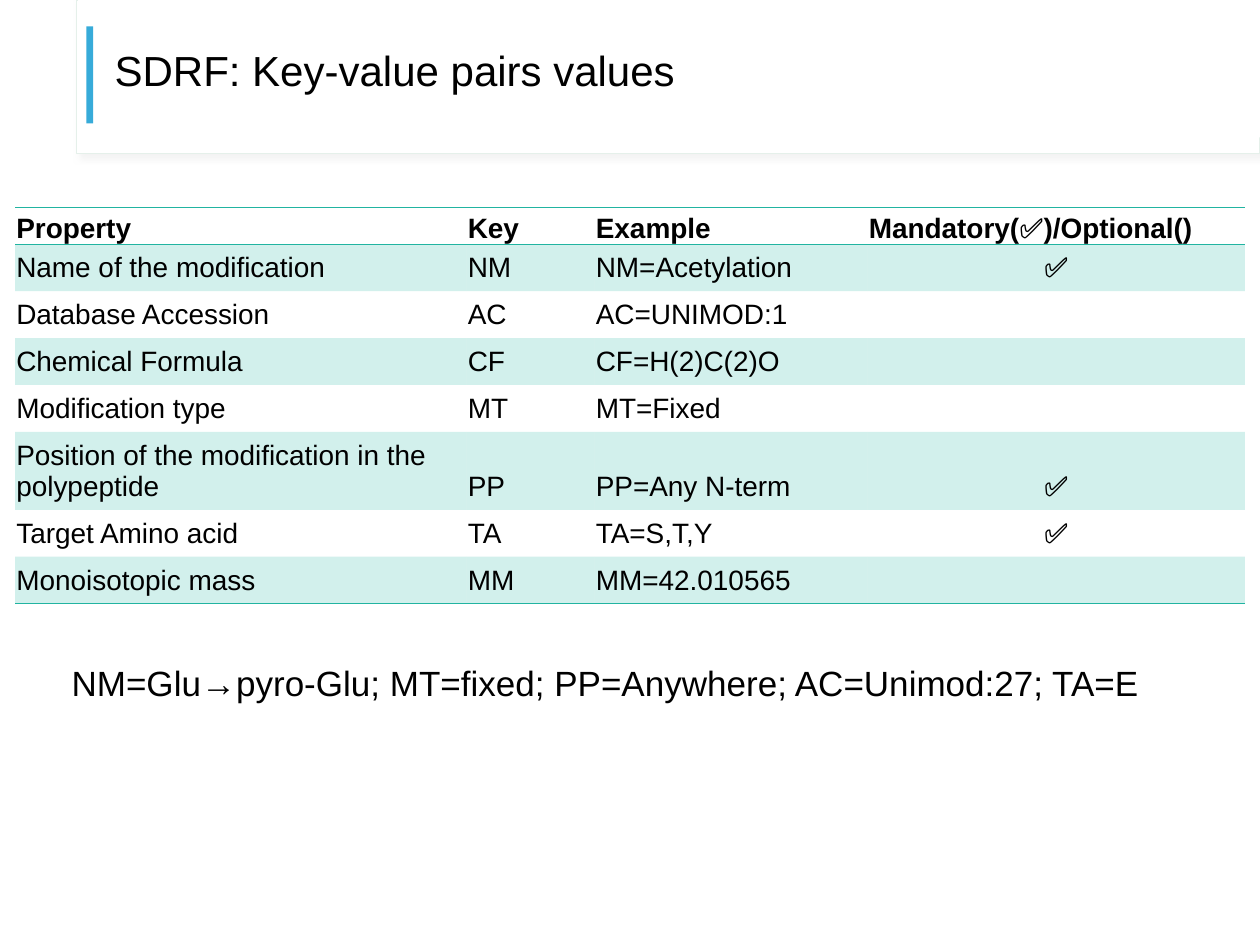
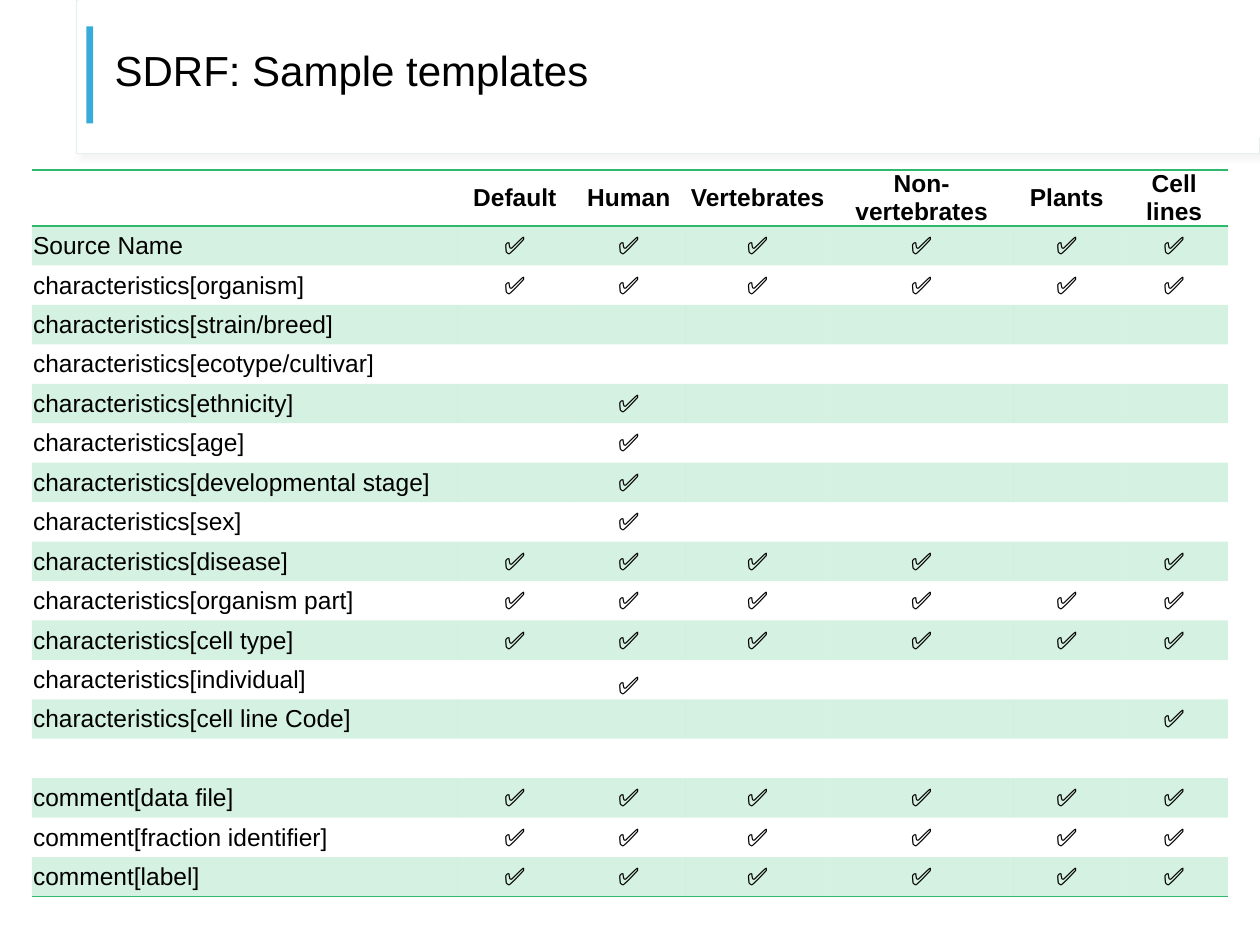
from lxml import etree
from pptx import Presentation
from pptx.dml.color import RGBColor
from pptx.enum import shapes, text
from pptx.oxml import parse_xml
from pptx.oxml.ns import nsdecls, qn
from pptx.util import Pt

FONT = "Arial"
BLACK, WHITE = "000000", "FFFFFF"
PANEL_LINE, ACCENT = "E5F0EA", "37ABD9"
TEAL, GREEN = "21B4A1", "2FB96D"
CHECK = "✅"
NO_STYLE = "{2D5ABB26-0587-4C30-8999-92F81FD0307C}"


def color(hex_string):
    return RGBColor.from_string(hex_string)


def style_paragraph(paragraph, size, bold=False, align=text.PP_ALIGN.LEFT):
    paragraph.alignment = align
    paragraph.font.name = FONT
    paragraph.font.size = Pt(size)
    paragraph.font.bold = bold
    paragraph.font.color.rgb = color(BLACK)


# Content of the two tables
modification_rows = [
    ["Property", "Key", "Example", f"Mandatory({CHECK})/Optional()"],
    ["Name of the modification", "NM", "NM=Acetylation", CHECK],
    ["Database Accession", "AC", "AC=UNIMOD:1", ""],
    ["Chemical Formula", "CF", "CF=H(2)C(2)O", ""],
    ["Modification type", "MT", "MT=Fixed", ""],
    ["Position of the modification in the polypeptide", "PP", "PP=Any N-term", CHECK],
    ["Target Amino acid", "TA", "TA=S,T,Y", CHECK],
    ["Monoisotopic mass", "MM", "MM=42.010565", ""],
]

# Each letter marks a template that requires the property
templates = {"D": "Default", "H": "Human", "V": "Vertebrates",
             "N": "Non-vertebrates", "P": "Plants", "C": "Cell lines"}
required_by = [
    ("Source Name", "DHVNPC"),
    ("characteristics[organism]", "DHVNPC"),
    ("characteristics[strain/breed]", ""),
    ("characteristics[ecotype/cultivar]", ""),
    ("characteristics[ethnicity]", "H"),
    ("characteristics[age]", "H"),
    ("characteristics[developmental stage]", "H"),
    ("characteristics[sex]", "H"),
    ("characteristics[disease]", "DHVNC"),
    ("characteristics[organism part]", "DHVNPC"),
    ("characteristics[cell type]", "DHVNPC"),
    ("characteristics[individual]", "H"),
    ("characteristics[cell line Code]", "C"),
    ("", ""),
    ("comment[data file]", "DHVNPC"),
    ("comment[fraction identifier]", "DHVNPC"),
    ("comment[label]", "DHVNPC"),
]
template_rows = [["", *templates.values()]]
for name, letters in required_by:
    template_rows.append([name] + [CHECK if key in letters else "" for key in templates])

pages = [
    dict(title="SDRF: Key-value pairs values", rows=modification_rows, tint=TEAL,
         left=8.64, top=118.6, columns=[258, 73.2, 156, 215.6],
         heights=[21, 26.8, 26.8, 26.8, 26.8, 44.6, 26.8, 26.8],
         size=16, padding=4.2, header_anchor=text.MSO_ANCHOR.BOTTOM,
         header_align=text.PP_ALIGN.LEFT),
    dict(title="SDRF: Sample templates", rows=template_rows, tint=GREEN,
         left=18.2, top=97.2, columns=[243, 66, 64.3, 83, 104.4, 61.4, 61.4],
         heights=[32] + [22.54] * len(required_by),
         size=14, padding=3.2, header_anchor=text.MSO_ANCHOR.MIDDLE,
         header_align=text.PP_ALIGN.CENTER),
]

presentation = Presentation()
presentation.slide_width, presentation.slide_height = Pt(720), Pt(540)
layout = presentation.slide_layouts[5]

# Shared layout: title position only, no footer fields
for placeholder in list(layout.placeholders):
    if placeholder.placeholder_format.type == shapes.PP_PLACEHOLDER.TITLE:
        placeholder.left, placeholder.top = Pt(58.3), Pt(13.7)
        placeholder.width, placeholder.height = Pt(402.5), Pt(55.4)
    else:
        placeholder.element.getparent().remove(placeholder.element)

slides = [presentation.slides.add_slide(layout) for page in pages]

# Shared layout: shadowed panel, its cover and the accent bar
bands = [(43.9, 0, 676.1, 87.8, WHITE), (44.6, 0, 675.4, 78.5, WHITE),
         (49.4, 15.1, 3.8, 55.4, ACCENT)]
band_shapes = []
for left, top, width, height, fill in bands:
    shape = slides[0].shapes.add_shape(shapes.MSO_SHAPE.RECTANGLE,
                                       Pt(left), Pt(top), Pt(width), Pt(height))
    shape.shadow.inherit = False
    shape.fill.solid()
    shape.fill.fore_color.rgb = color(fill)
    shape.line.fill.background()
    band_shapes.append(shape)

panel = band_shapes[0]
panel.line.color.rgb = color(PANEL_LINE)
panel.line.width = Pt(0.75)
panel.element.spPr.find(qn("a:effectLst")).append(parse_xml(
    f'<a:outerShdw {nsdecls("a")} blurRad="{Pt(4)}" dist="{Pt(3)}" dir="2700000">'
    '<a:srgbClr val="D9D9D9"><a:alpha val="30000"/></a:srgbClr></a:outerShdw>'))
for position, shape in enumerate(band_shapes, start=2):
    layout.shapes._spTree.insert(position, shape.element)

for slide, page in zip(slides, pages):
    # Title
    slide.shapes.title.text = page["title"]
    paragraph = slide.shapes.title.text_frame.paragraphs[0]
    paragraph.line_spacing = 0.9
    style_paragraph(paragraph, 24)

    # Table grid
    rows, columns, heights = page["rows"], page["columns"], page["heights"]
    table = slide.shapes.add_table(len(rows), len(columns), Pt(page["left"]), Pt(page["top"]),
                                   Pt(sum(columns)), Pt(sum(heights))).table
    table.first_row = table.horz_banding = False
    table._tbl.tblPr.find(qn("a:tableStyleId")).text = NO_STYLE
    for column, width in zip(table.columns, columns):
        column.width = Pt(width)
    for row, height in zip(table.rows, heights):
        row.height = Pt(height)

    # Table cells
    for row_index, values in enumerate(rows):
        header = row_index == 0
        for column_index, value in enumerate(values):
            cell = table.cell(row_index, column_index)
            cell.text = value
            cell.margin_left = cell.margin_right = Pt(0.7)
            padding = page["padding"] if value and not header else 0
            cell.margin_top = cell.margin_bottom = Pt(padding)
            if value == CHECK and values[0] == "characteristics[individual]":
                cell.margin_top = cell.margin_bottom = 0
            cell.vertical_anchor = page["header_anchor"] if header else text.MSO_ANCHOR.BOTTOM
            align = text.PP_ALIGN.CENTER if value == CHECK else text.PP_ALIGN.LEFT
            style_paragraph(cell.text_frame.paragraphs[0], page["size"], header,
                            page["header_align"] if header else align)

            # Rules above and below the header and under the last row
            properties = cell._tc.get_or_add_tcPr()
            sides = ["lnT", "lnB"] if header else ["lnB"] if row_index == len(rows) - 1 else []
            for side in sides:
                properties.append(parse_xml(
                    f'<a:{side} {nsdecls("a")} w="{Pt(1)}"><a:solidFill>'
                    f'<a:srgbClr val="{page["tint"]}"/></a:solidFill></a:{side}>'))

            # Odd rows carry a light tint
            if row_index % 2:
                cell.fill.solid()
                cell.fill.fore_color.rgb = color(page["tint"])
                tint = properties.find(qn("a:solidFill")).find(qn("a:srgbClr"))
                etree.SubElement(tint, qn("a:alpha")).set("val", "20000")
            else:
                cell.fill.background()

# Worked example under the first table
example = slides[0].shapes.add_textbox(Pt(-38.2), Pt(374.4), Pt(728.6), Pt(31.7))
example.text_frame.word_wrap = True
example.text_frame.text = "NM=Glu→pyro-Glu; MT=fixed; PP=Anywhere; AC=Unimod:27; TA=E"
paragraph = example.text_frame.paragraphs[0]
paragraph.level = 2
style_paragraph(paragraph, 20)

presentation.save("out.pptx")
